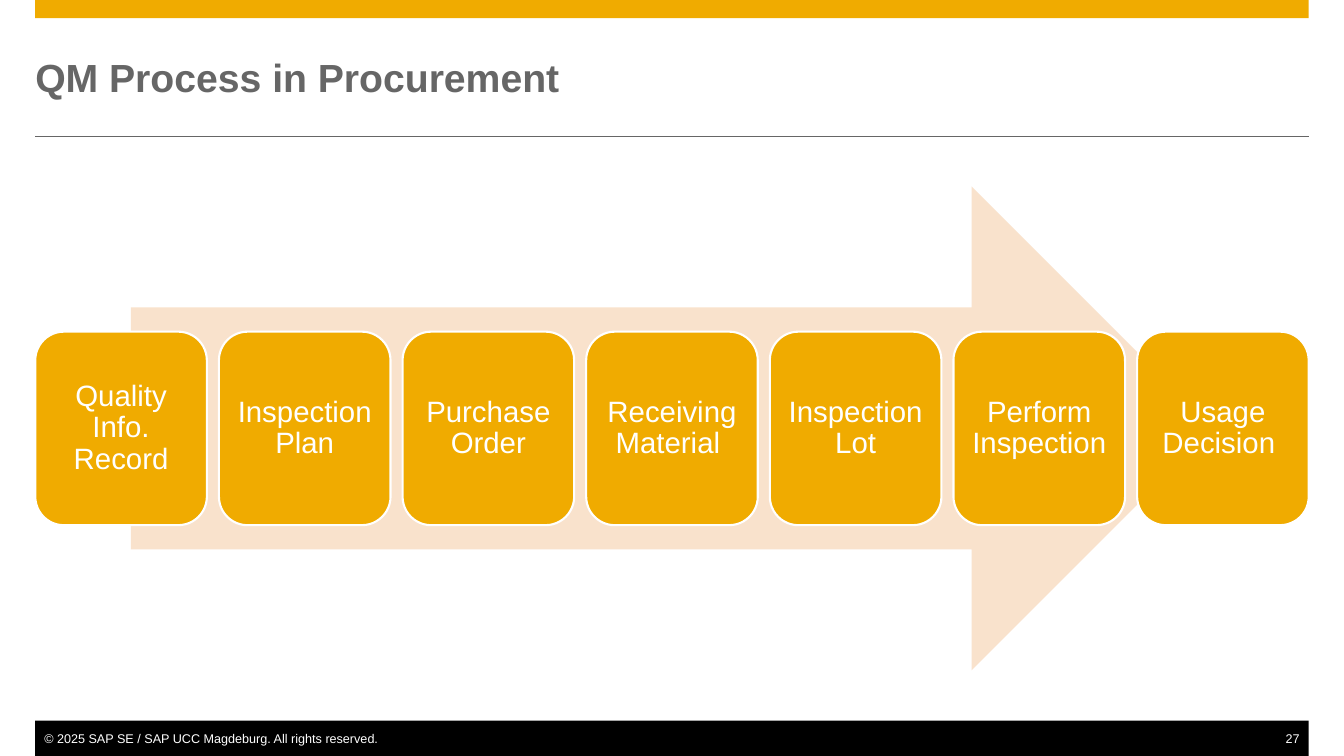
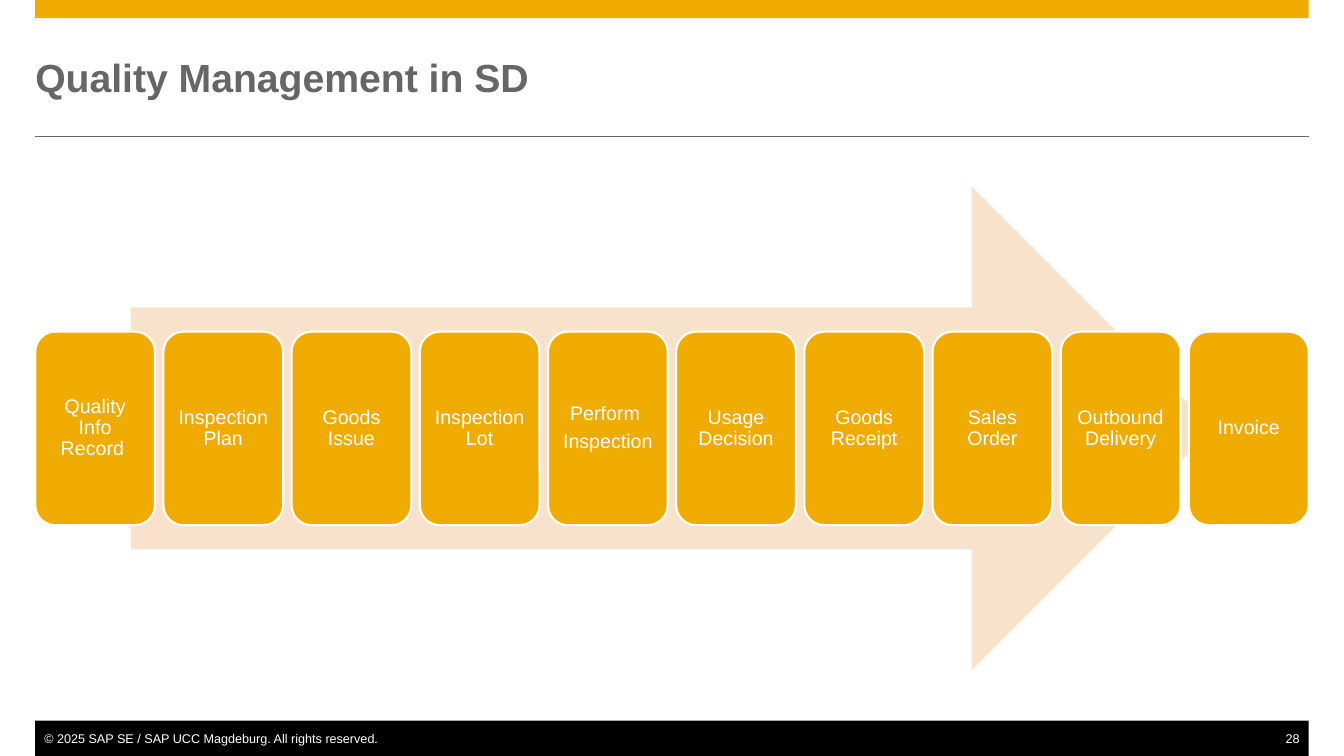
from pptx import Presentation
from pptx.dml.color import RGBColor
from pptx.enum.shapes import MSO_CONNECTOR, MSO_SHAPE
from pptx.enum.text import MSO_ANCHOR, MSO_AUTO_SIZE, PP_ALIGN
from pptx.oxml.ns import qn
from pptx.util import Inches, Pt
from lxml.etree import SubElement

GOLD = RGBColor(0xF0, 0xAB, 0x00)
PEACH = RGBColor(0xF9, 0xE2, 0xCC)
GREY = RGBColor(0x66, 0x66, 0x66)
BLACK = RGBColor(0x00, 0x00, 0x00)
WHITE = RGBColor(0xFF, 0xFF, 0xFF)

CELL = 0.05
COLUMNS = 266.8
ROWS = 150
MARGIN = 7
CONTENT = COLUMNS - 2 * MARGIN
BAND_ROWS = 7
ARROW_LEFT = 26
ARROW_TOP = 37
ARROW_ROWS = 96
GAP_SHARE = 0.07

COPYRIGHT = "© 2025 SAP SE / SAP UCC Magdeburg. All rights reserved."
TITLE = {"size": Pt(28), "bold": True, "name": "Arial"}
FOOTER = {"size": Pt(9), "name": "Arial"}

PROCESSES = [
    (27, "QM Process in Procurement", 21, [
        "Quality Info. Record", "Inspection Plan", "Purchase Order",
        "Receiving Material ", "Inspection Lot", "Perform Inspection",
        "Usage Decision ",
    ]),
    (28, "Quality Management in SD", 14, [
        "Quality Info Record ", "Inspection Plan", "Goods Issue",
        "Inspection Lot", "Perform \nInspection", "Usage Decision",
        "Goods Receipt", "Sales Order", "Outbound Delivery", "Invoice",
    ]),
]


def cells(*counts):
    return [Inches(count * CELL) for count in counts]


def apply_format(target, values):
    for name, value in values.items():
        setattr(target, name, value)


class ProcessDeck:
    def __init__(self):
        self.deck = Presentation()
        self.deck.slide_width, self.deck.slide_height = cells(COLUMNS, ROWS)
        self.page = None

    def label(self, box, text, font, color, align, sides=0, ends=0, spacing=None):
        frame = box.text_frame
        apply_format(frame, {
            "text": text,
            "word_wrap": True,
            "auto_size": MSO_AUTO_SIZE.NONE,
            "vertical_anchor": MSO_ANCHOR.MIDDLE,
            "margin_left": Inches(sides),
            "margin_right": Inches(sides),
            "margin_top": Inches(ends),
            "margin_bottom": Inches(ends),
        })
        for para in frame.paragraphs:
            apply_format(para, {"alignment": align, **(spacing or {})})
            for span in para.runs:
                apply_format(span.font, font)
                span.font.color.rgb = color

    def shape(self, kind, left, top, width, height, fill, outline=None):
        box = self.page.shapes.add_shape(kind, *cells(left, top, width, height))
        box.shadow.inherit = False
        box.fill.solid()
        box.fill.fore_color.rgb = fill
        if outline is None:
            box.line.fill.background()
        else:
            box.line.color.rgb = outline
            box.line.width = Pt(1.5)
        return box

    def rule(self, row):
        line = self.page.shapes.add_connector(
            MSO_CONNECTOR.STRAIGHT, *cells(MARGIN, row, MARGIN + CONTENT, row))
        line.line.color.rgb = GREY
        line.line.width = Pt(0.5)
        SubElement(line.element.spPr, qn("a:effectLst"))

    def title(self, text):
        box = self.page.shapes.title
        box.left, box.top, box.width, box.height = cells(MARGIN, 7, CONTENT, 16.6)
        self.label(box, text, TITLE, GREY, PP_ALIGN.LEFT)

    def footer(self, number):
        top = ROWS - BAND_ROWS
        band = self.shape(MSO_SHAPE.RECTANGLE, MARGIN, top, CONTENT, BAND_ROWS, BLACK)
        self.label(band, COPYRIGHT, FOOTER, WHITE, PP_ALIGN.LEFT, sides=0.09)
        width = 12
        box = self.page.shapes.add_textbox(
            *cells(MARGIN + CONTENT - width, top, width, BAND_ROWS))
        self.label(box, str(number), FOOTER, WHITE, PP_ALIGN.RIGHT, sides=0.09)

    def open_page(self, number, title):
        self.page = self.deck.slides.add_slide(self.deck.slide_layouts[5])
        self.shape(MSO_SHAPE.RECTANGLE, MARGIN, 0, CONTENT, 3.6, GOLD)
        self.rule(27)
        self.title(title)
        self.footer(number)

    def process(self, steps, size):
        self.shape(MSO_SHAPE.RIGHT_ARROW, ARROW_LEFT, ARROW_TOP,
                   0.85 * CONTENT, ARROW_ROWS, PEACH)
        height = 0.4 * ARROW_ROWS
        top = ARROW_TOP + (ARROW_ROWS - height) / 2
        width = CONTENT / (len(steps) + (len(steps) - 1) * GAP_SHARE)
        inset = 0.05 * width * CELL
        font = {"size": Pt(size), "name": "Arial"}
        spacing = {"line_spacing": 0.9, "space_after": Pt(0.35 * size)}
        for index, step in enumerate(steps):
            left = MARGIN + index * width * (1 + GAP_SHARE)
            box = self.shape(MSO_SHAPE.ROUNDED_RECTANGLE, left, top, width, height,
                             GOLD, WHITE)
            self.label(box, step, font, WHITE, PP_ALIGN.CENTER, inset, inset, spacing)


def main():
    builder = ProcessDeck()
    for number, title, size, steps in PROCESSES:
        builder.open_page(number, title)
        builder.process(steps, size)
    builder.deck.save("out.pptx")


if __name__ == "__main__":
    main()
